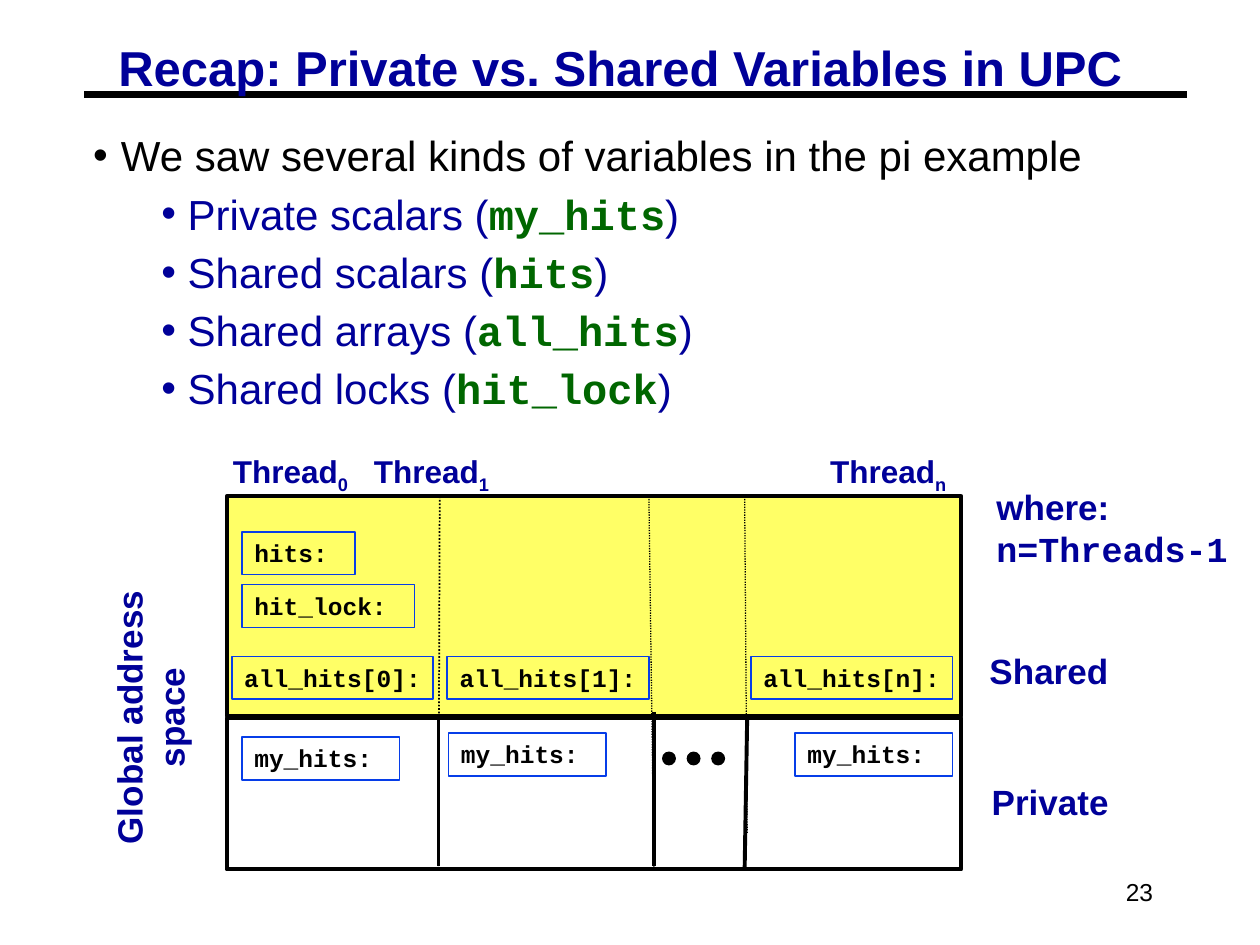
import pptx
import pptx.dml.color
import pptx.enum.dml
import pptx.enum.shapes
import pptx.enum.text
import pptx.oxml.ns
import pptx.util
from lxml import etree

NAVY = pptx.dml.color.RGBColor(0x00, 0x00, 0x99)
GREEN = pptx.dml.color.RGBColor(0x00, 0x66, 0x00)
BLACK = pptx.dml.color.RGBColor(0x00, 0x00, 0x00)
YELLOW = pptx.dml.color.RGBColor(0xFF, 0xFF, 0x66)
BLUE = pptx.dml.color.RGBColor(0x06, 0x3D, 0xE8)
SANS, MONO = "Arial", "Courier New"
SHAPE = pptx.enum.shapes.MSO_SHAPE
ALIGN = pptx.enum.text.PP_ALIGN
ANCHOR = pptx.enum.text.MSO_ANCHOR
qn = pptx.oxml.ns.qn

# The slide is a grid of 100 columns and 75 rows of square cells.
CELL = pptx.util.Inches(0.1)

deck = pptx.Presentation()
deck.slide_width, deck.slide_height = 100 * CELL, 75 * CELL
slide = deck.slides.add_slide(deck.slide_layouts[6])
shapes = slide.shapes


def cells(*lengths):
    """Turn grid lengths into EMU."""
    return [round(length * CELL) for length in lengths]


def set_font(font, size, color=NAVY, name=SANS, bold=True):
    font.size, font.name, font.bold = pptx.util.Pt(size), name, bold
    font.color.rgb = color


# Shared and private memory
LEFT, RIGHT, TOP, SPLIT, BOTTOM = 18, 76.3, 39.4, 57, 69
for top, bottom, fill in ((TOP, 56.8, YELLOW), (SPLIT, BOTTOM, None)):
    memory = shapes.add_shape(SHAPE.RECTANGLE,
                              *cells(LEFT, top, RIGHT - LEFT, bottom - top))
    memory.shadow.inherit = False
    memory.line.color.rgb = BLACK
    memory.line.width = pptx.util.Pt(2.25)
    if fill is None:
        memory.fill.background()
    else:
        memory.fill.solid()
        memory.fill.fore_color.rgb = fill

# Title rule and thread dividers
for start_x, start_y, end_x, end_y, width, dotted in (
    (6.7, 7.5, 94.2, 7.5, 3.75, False),
    (51.5, TOP, 51.9, BOTTOM, 0.75, True),
    (59.1, TOP, 59.3, 66.1, 0.75, True),
    (34.9, TOP, 34.8, BOTTOM, 1, True),
    (51.9, 56.5, 51.9, 68.7, 2.25, False),
    (34.8, 56.7, 34.8, 68.7, 2.25, False),
    (59.3, SPLIT, 59.1, BOTTOM, 2.25, False),
):
    divider = shapes.add_connector(pptx.enum.shapes.MSO_CONNECTOR.STRAIGHT,
                                   *cells(start_x, start_y, end_x, end_y))
    divider.line.color.rgb = BLACK
    divider.line.width = pptx.util.Pt(width)
    if dotted:
        divider.line.dash_style = pptx.enum.dml.MSO_LINE.ROUND_DOT
    etree.SubElement(divider._element.spPr, qn("a:effectLst"))

for step in range(3):
    dot = shapes.add_shape(SHAPE.OVAL, *cells(52.6 + 1.95 * step, 59.7, 1, 1))
    dot.shadow.inherit = False
    dot.fill.solid()
    dot.fill.fore_color.rgb = BLACK
    dot.line.color.rgb = BLACK
    dot.line.width = pptx.util.Pt(0.75)

# Variables held by the threads
for left, top, width, variable in (
    (19.2, 42.2, 9, "hits:"),
    (19.2, 46.4, 13.7, "hit_lock:"),
    (18.4, 52.1, 16, "all_hits[0]:"),
    (35.5, 52.1, 16, "all_hits[1]:"),
    (59.6, 52.1, 16, "all_hits[n]:"),
    (19.2, 58.5, 12.5, "my_hits:"),
    (35.6, 58.2, 12.5, "my_hits:"),
    (63.1, 58.2, 12.5, "my_hits:"),
):
    slot = shapes.add_shape(SHAPE.RECTANGLE, *cells(left, top, width, 3.4))
    slot.shadow.inherit = False
    slot.fill.background()
    slot.line.color.rgb = BLUE
    slot.line.width = pptx.util.Pt(1)
    slot.text_frame.word_wrap = False
    slot.text_frame.vertical_anchor = ANCHOR.TOP
    name = slot.text_frame.paragraphs[0]
    name.text, name.alignment = variable, ALIGN.LEFT
    set_font(name.font, 14, BLACK, MONO)

# Labels: place, text, size, colour, bold, alignment, anchor, turn
for place, text, size, color, bold, align, anchor, turn in (
    ((8.7, 3.3, 85.4, 4.6), "Recap: Private vs. Shared Variables in UPC",
     28, NAVY, True, ALIGN.LEFT, ANCHOR.TOP, 0),
    ((76.5, 50.7, 13.5, 5), "Shared", 20, NAVY, True, ALIGN.CENTER, ANCHOR.MIDDLE, 0),
    ((76.6, 61.1, 13.5, 5), "Private", 20, NAVY, True, ALIGN.CENTER, ANCHOR.MIDDLE, 0),
    ((0.6, 53.1, 22.6, 7.7), "Global address space",
     20, NAVY, True, ALIGN.CENTER, ANCHOR.TOP, 270),
    ((71.7, 68.3, 20.8, 5), "23", 14, BLACK, False, ALIGN.RIGHT, ANCHOR.MIDDLE, 0),
):
    label = shapes.add_textbox(*cells(*place))
    label.rotation = turn
    frame = label.text_frame
    frame.word_wrap, frame.vertical_anchor = True, anchor
    line = frame.paragraphs[0]
    line.text, line.alignment = text, align
    if size == 28:
        line.line_spacing = 0.87
        frame.margin_left, frame.margin_top = cells(0.7, 0.3)
    set_font(line.font, size, color, SANS, bold)

# Kinds of variables
kinds = shapes.add_textbox(*cells(6.7, 10, 90, 23.1)).text_frame
kinds.word_wrap = True
kinds.margin_left, kinds.margin_top = cells(0.7, 0.3)
for row, (kind, code) in enumerate((
    ("We saw several kinds of variables in the pi example", ""),
    ("Private scalars (", "my_hits"),
    ("Shared scalars (", "hits"),
    ("Shared arrays (", "all_hits"),
    ("Shared locks (", "hit_lock"),
)):
    point = kinds.add_paragraph() if row else kinds.paragraphs[0]
    color = NAVY if row else BLACK
    indent, hang = cells(7.5, 2.1) if row else cells(2.2, 2.2)
    props = point._p.get_or_add_pPr()
    props.set("marL", str(indent))
    props.set("indent", str(-hang))
    bullet_color = etree.SubElement(props, qn("a:buClr"))
    etree.SubElement(bullet_color, qn("a:srgbClr"), val=str(color))
    etree.SubElement(props, qn("a:buFont"), typeface=SANS)
    etree.SubElement(props, qn("a:buChar"), char="•")
    if row:
        point.level = 1
        point.space_before = pptx.util.Pt(4.5)
        for text, tint, face in ((kind, NAVY, SANS), (code, GREEN, MONO), (")", NAVY, SANS)):
            run = point.add_run()
            run.text = text
            set_font(run.font, 24, tint, face, face == MONO)
    else:
        point.text = kind
        set_font(point.font, 24, color, SANS, False)

# Thread headings, set on tab stops
heading_frame = shapes.add_textbox(*cells(17.5, 35.4, 62, 4.4)).text_frame
heading_frame.word_wrap = True
headings = heading_frame.paragraphs[0]
stops = etree.SubElement(headings._p.get_or_add_pPr(), qn("a:tabLst"))
for stop in cells(11.2, 47.4):
    etree.SubElement(stops, qn("a:tab"), pos=str(stop), algn="l")
for text, index in (("Thread", "0"), ("\tThread", "1"), ("\tThread", "n")):
    headings.add_run().text = text
    subscript = headings.add_run()
    subscript.text = index
    subscript.font._element.set("baseline", "-25000")
set_font(headings.font, 18)

# Meaning of n
where = shapes.add_textbox(*cells(78.1, 39.4, 21.9, 5)).text_frame
where.word_wrap = False
where.vertical_anchor = ANCHOR.MIDDLE
where.text = "where:\nn=Threads-1"
for line, face in zip(where.paragraphs, (SANS, MONO)):
    set_font(line.font, 20, NAVY, face)

deck.save("out.pptx")
